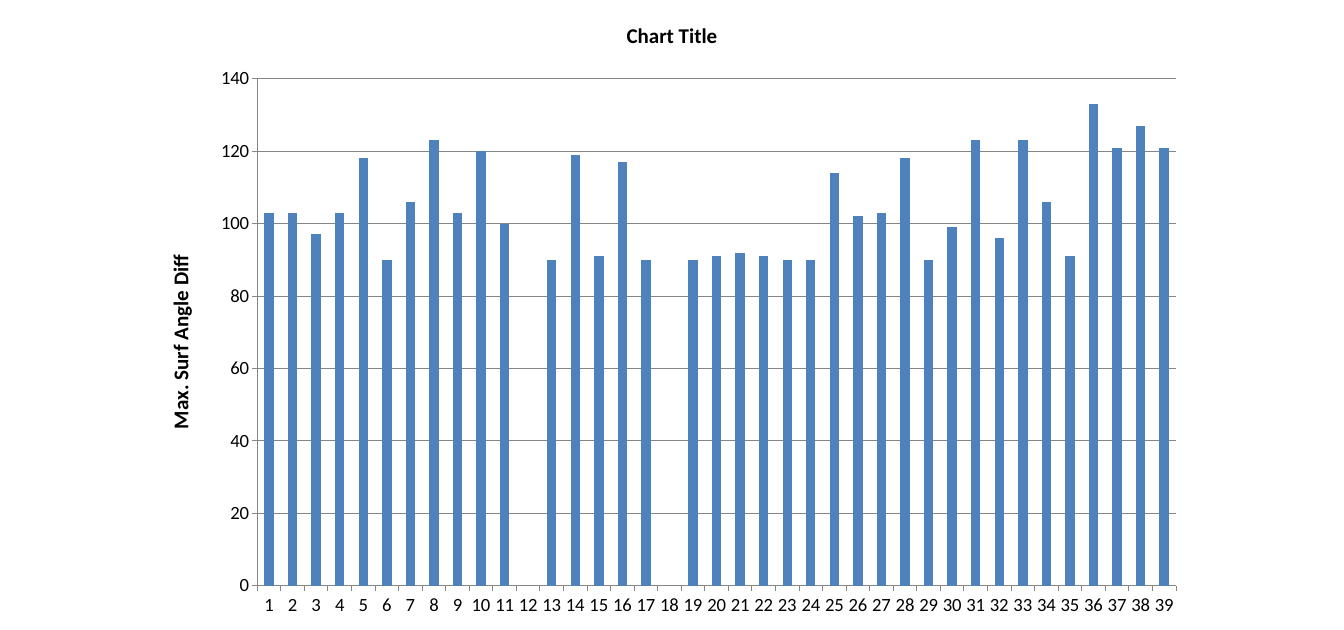
from lxml.etree import SubElement
from pptx import Presentation
from pptx.chart.data import CategoryChartData
from pptx.dml.color import RGBColor
from pptx.enum.chart import XL_CHART_TYPE, XL_TICK_MARK
from pptx.oxml.ns import qn
from pptx.util import Inches, Pt

BLACK = RGBColor(0x00, 0x00, 0x00)
GRAY = RGBColor(0x86, 0x86, 0x86)
BLUE = RGBColor(0x4F, 0x81, 0xBD)
FONT_NAME = "Calibri"

ANGLE_DIFFERENCES = [
    103, 103, 97, 103, 118, 90, 106, 123, 103, 120,
    100, 0, 90, 119, 91, 117, 90, 0, 90, 91,
    92, 91, 90, 90, 114, 102, 103, 118, 90, 99,
    123, 96, 123, 106, 91, 133, 121, 127, 121,
]


def write_title(text_frame, text, size=18, bold=True, color=BLACK):
    text_frame.text = text
    font = text_frame.paragraphs[0].runs[0].font
    font.name = FONT_NAME
    font.size = Pt(size)
    font.bold = bold
    font.color.rgb = color


presentation = Presentation()
presentation.slide_width = Inches(16)
presentation.slide_height = Inches(7.5)
slide = presentation.slides.add_slide(presentation.slide_layouts[6])

# Column chart
chart_data = CategoryChartData()
chart_data.categories = [str(number) for number in range(1, len(ANGLE_DIFFERENCES) + 1)]
chart_data.add_series("Series 1", ANGLE_DIFFERENCES)
chart = slide.shapes.add_chart(
    XL_CHART_TYPE.COLUMN_CLUSTERED,
    Inches(1.75), Inches(0), Inches(12.5), Inches(7.5), chart_data,
).chart
chart.has_legend = False
chart.font.name = FONT_NAME
chart.font.size = Pt(10)
chart.font.color.rgb = BLACK

plot = chart.plots[0]
plot.gap_width = 150
plot.vary_by_categories = False
series = plot.series[0]
series.format.fill.solid()
series.format.fill.fore_color.rgb = BLUE

# Titles
chart.has_title = True
write_title(chart.chart_title.text_frame, "Chart Title")
chart.chart_title.include_in_layout = False
value_axis = chart.value_axis
write_title(value_axis.axis_title.text_frame, "Max. Surf Angle Diff")

# Axes
for axis in (chart.category_axis, value_axis):
    axis.major_tick_mark = XL_TICK_MARK.OUTSIDE
    axis.minor_tick_mark = XL_TICK_MARK.NONE
    axis.tick_labels.font.name = FONT_NAME
    axis.tick_labels.font.size = Pt(16)
    axis.tick_labels.font.color.rgb = BLACK
    axis.format.line.color.rgb = GRAY
    axis.format.line.width = Pt(0.75)
value_axis.minimum_scale = 0
value_axis.maximum_scale = 140
value_axis.major_unit = 20
value_axis.has_major_gridlines = True
value_axis.major_gridlines.format.line.color.rgb = GRAY
value_axis.major_gridlines.format.line.width = Pt(0.75)

# Plot area position, as fractions of the chart
plot_area = chart.element.find(".//" + qn("c:plotArea"))
layout = plot_area.find(qn("c:layout"))
if layout is None:
    layout = SubElement(plot_area, qn("c:layout"))
    plot_area.insert(0, layout)
manual_layout = SubElement(layout, qn("c:manualLayout"))
for tag, value in (
    ("layoutTarget", "inner"), ("xMode", "edge"), ("yMode", "edge"),
    ("x", "0.105"), ("y", "0.125"), ("w", "0.875"), ("h", "0.805"),
):
    SubElement(manual_layout, qn("c:" + tag)).set("val", value)

presentation.save("out.pptx")
